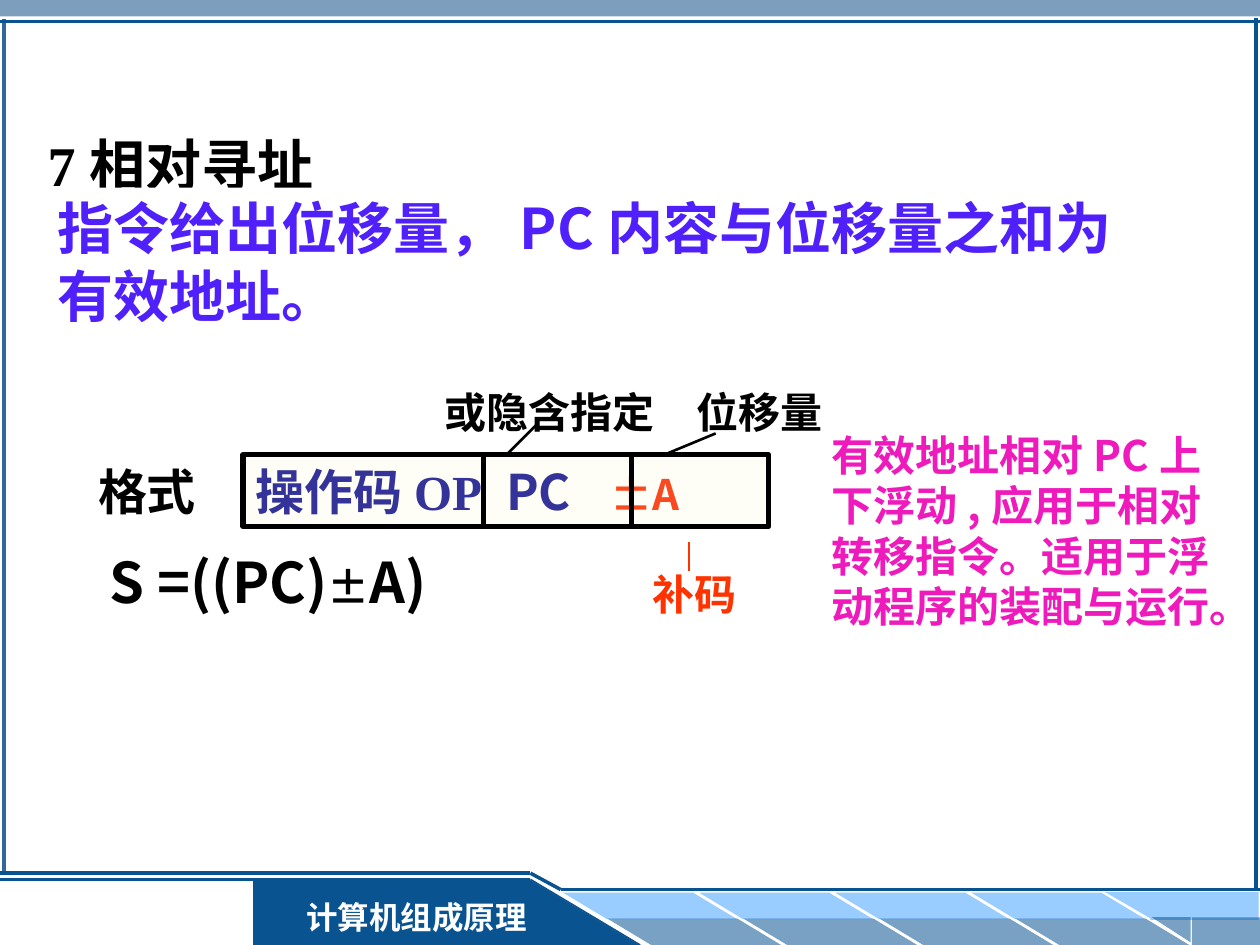
"""Build the slide on relative addressing in a 100 by 75 grid."""
from dataclasses import dataclass

from lxml.etree import SubElement
from pptx import Presentation
from pptx.dml.color import RGBColor
from pptx.enum.shapes import MSO_CONNECTOR as Link, MSO_SHAPE as Shape
from pptx.enum.text import MSO_ANCHOR as Anchor, PP_ALIGN as Align
from pptx.oxml.ns import qn
from pptx.util import Inches, Pt


@dataclass(frozen=True)
class Theme:
    navy: str = "095391"
    steel: str = "336699"
    sky: str = "99CCFF"
    white: str = "FFFFFF"
    ivory: str = "FEFEF6"
    black: str = "000000"
    violet: str = "4F20FA"
    indigo: str = "333399"
    orange: str = "FB491F"
    red: str = "FF3300"
    pink: str = "EE1ABC"
    serif: str = "Times New Roman"
    sans: str = "Noto Sans CJK SC"
    heading: int = 32
    field: int = 28
    note: int = 24
    footer: int = 18


theme = Theme()
prs = Presentation()
prs.slide_width, prs.slide_height = Inches(10), Inches(7.5)
cell = prs.slide_width / 100
slide = prs.slides.add_slide(prs.slide_layouts[6])


def paint(kind, box, color, alpha=None, flips=()):
    part = slide.shapes.add_shape(kind, *(round(n * cell) for n in box))
    part.shadow.inherit = False
    part.line.fill.background()
    part.fill.solid()
    part.fill.fore_color.rgb = RGBColor.from_string(color)
    if alpha:
        tint = part.fill._xPr.find(qn("a:solidFill"))[0]
        SubElement(tint, qn("a:alpha")).set("val", str(alpha * 1000))
    for flip in flips:
        part._element.spPr.find(qn("a:xfrm")).set(flip, "1")
    return part


def rule(ends, color, width):
    stroke = slide.shapes.add_connector(Link.STRAIGHT, *(round(n * cell) for n in ends))
    stroke.line.color.rgb = RGBColor.from_string(color)
    stroke.line.width = Pt(width)
    SubElement(stroke._element.spPr, qn("a:effectLst"))


paint(Shape.RECTANGLE, (0, 0, 100, 1.3), theme.steel, 63)
rule((0.3, 1.5, 0.3, 69.3), theme.steel, 2)
paint(Shape.RECTANGLE, (20.1, 69.8, 22, 5.2), theme.navy)
paint(Shape.RIGHT_TRIANGLE, (42, 69.8, 8.7, 5.2), theme.navy)

for stripe in range(4):
    left = 44.7 + 10.8 * stripe
    for shift, top, color, alpha in ((0, 70.85, theme.sky, None), (3.5, 72.9, theme.navy, 54)):
        band = paint(Shape.PARALLELOGRAM, (left + shift, top, 13.8, 2.1), color, alpha, ["flipH"])
        band.adjustments[0] = 1.66

for corner, edge, color, alpha in (
    ((87.7, 70.8, 3.8, 2.2), (91.3, 70.8, 8.6, 2.2), theme.sky, None),
    ((91.4, 72.8, 3.1, 2), (94.6, 72.8, 5.4, 2.2), theme.navy, 54),
):
    paint(Shape.RECTANGLE, edge, color, alpha)
    paint(Shape.RIGHT_TRIANGLE, corner, color, alpha, ("flipH", "flipV"))

for ends, width in (
    ((50.8, 75, 42.1, 69.8), 1),
    ((42.1, 69.8, 0, 69.8), 1.5),
    ((0, 69.3, 42.1, 69.3), 2),
    ((42.1, 69.3, 44.5, 70.6), 2),
    ((44.5, 70.6, 100, 70.6), 2),
    ((0, 1.7, 100, 1.7), 2),
    ((99.7, 1.4, 99.7, 70.7), 2),
):
    rule(ends, theme.navy, width)

passages = (
    ((22.8, 70.8, 20.5, 4), theme.navy, Align.CENTER, 1,
     [("计算机组成原理", theme.footer, theme.serif, theme.white)]),
    ((6.8, 36.1, 11.7, 5.7), None, Align.LEFT, 1,
     [("格式", theme.field, theme.serif, theme.black)]),
    ((2.8, 9.9, 38.3, 6.4), None, Align.LEFT, 1,
     [("7相对寻址", theme.heading, theme.serif, theme.black)]),
    ((3.6, 14.9, 87.5, 11.7), theme.white, Align.LEFT, 1,
     [("指令给出位移量，", theme.heading, theme.serif, theme.violet),
      ("PC", theme.heading, theme.sans, theme.violet),
      ("内容与位移量之和为有效地址。", theme.heading, theme.serif, theme.violet)]),
    ((54.3, 30.2, 15.8, 5), None, Align.LEFT, 1,
     [("位移量", theme.note, theme.sans, theme.black)]),
    ((34.3, 30.2, 23.3, 5), None, Align.LEFT, 1,
     [("或隐含指定", theme.note, theme.sans, theme.black)]),
    ((19.3, 36.1, 41.7, 5.7), theme.ivory, Align.LEFT, 1,
     [("操作码OP\t", theme.field, theme.serif, theme.indigo),
      ("PC\t", theme.field, theme.sans, theme.indigo),
      ("±A", theme.note, theme.sans, theme.orange)]),
    ((7.7, 44.4, 41.7, 4.8), None, Align.LEFT, 0.7,
     [("S =((PC)", theme.heading, theme.sans, theme.black),
      ("±", theme.note, theme.sans, theme.black),
      ("A)", theme.heading, theme.sans, theme.black)]),
    ((65, 33.6, 32.3, 17), None, Align.LEFT, 1,
     [("有效地址相对", theme.note, theme.serif, theme.pink),
      ("PC上下浮动,", theme.note, theme.sans, theme.pink),
      ("应用于相对转移指令。适用于浮动程序的装配与运行。", theme.note, theme.serif, theme.pink)]),
    ((49.8, 44.6, 10.6, 5), None, Align.CENTER, 1,
     [("补码", theme.note, theme.serif, theme.red)]),
)
for box, fill, align, spacing, runs in passages:
    if fill:
        holder = paint(Shape.RECTANGLE, box, fill)
    else:
        holder = slide.shapes.add_textbox(*(round(n * cell) for n in box))
    if fill == theme.ivory:
        holder.line.color.rgb = RGBColor.from_string(theme.black)
        holder.line.width = Pt(3)
    frame = holder.text_frame
    frame.word_wrap = True
    frame.vertical_anchor = Anchor.TOP
    line = frame.paragraphs[0]
    line.alignment = align
    line.line_spacing = spacing
    if fill == theme.ivory:
        stops = SubElement(line._p.get_or_add_pPr(), qn("a:tabLst"))
        for column in (19.9, 28.2):
            stop = SubElement(stops, qn("a:tab"))
            stop.set("pos", str(round(column * cell)))
            stop.set("algn", "l")
    for words, size, face, color in runs:
        run = line.add_run()
        run.text = words
        run.font.size, run.font.name, run.font.bold = Pt(size), face, True
        run.font.color.rgb = RGBColor.from_string(color)

for divider in (38.4, 50.1):
    rule((divider, 36.1, divider, 41.9), theme.black, 3)
for ends, color in (
    ((42.7, 33.6, 40.2, 36.1), theme.black),
    ((52.7, 36.1, 56.8, 34.4), theme.black),
    ((54.7, 43, 54.7, 45.3), theme.red),
):
    rule(ends, color, 1.5)

prs.save("out.pptx")
